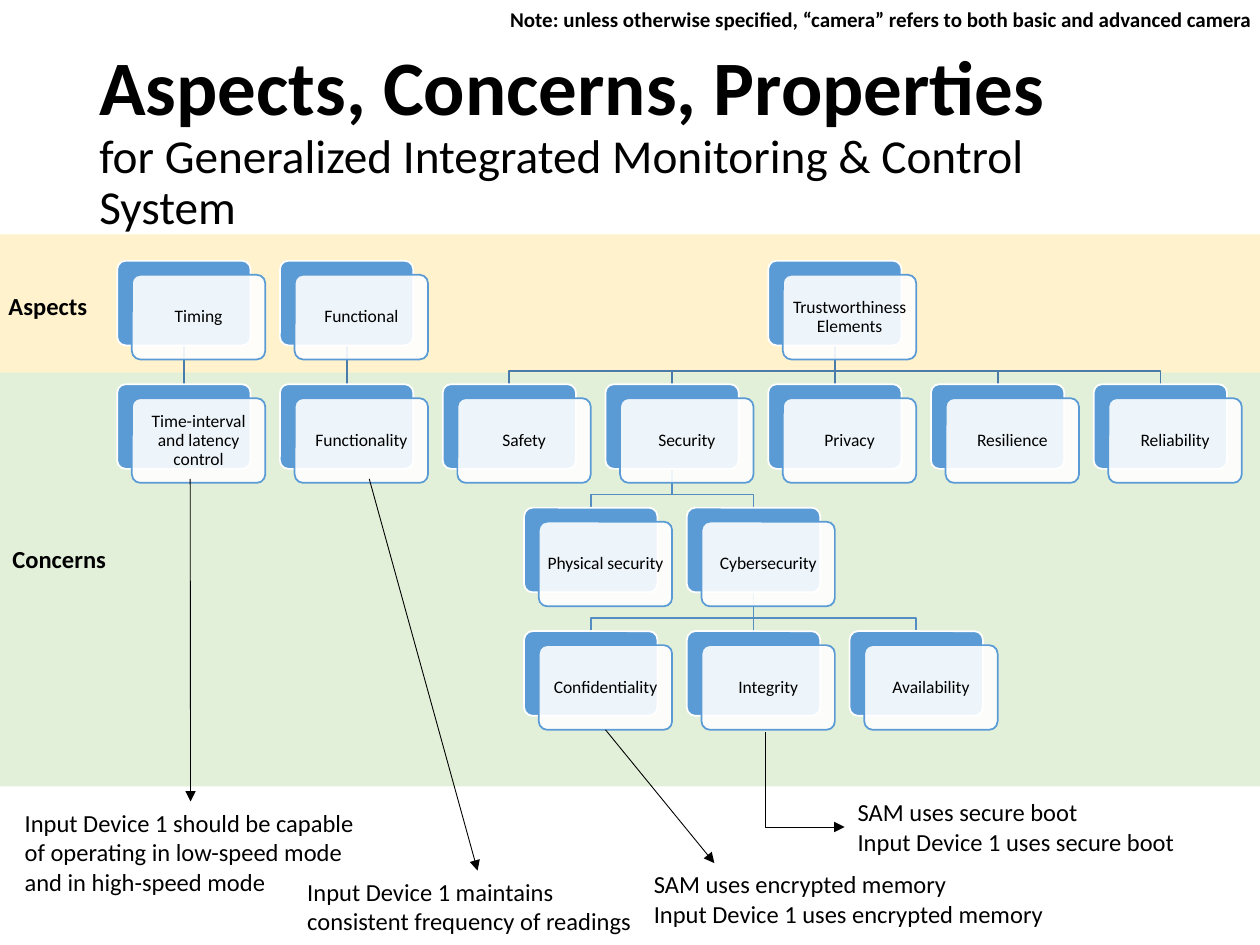
"""Build a slide that maps aspects to concerns and properties of a control system."""
import pptx
import pptx.util
import pptx.dml.color
import pptx.enum.shapes
import pptx.enum.text
import pptx.oxml
import pptx.oxml.ns

Pt = pptx.util.Pt
RGBColor = pptx.dml.color.RGBColor
SHAPE = pptx.enum.shapes.MSO_SHAPE
CONNECTOR = pptx.enum.shapes.MSO_CONNECTOR
ALIGN = pptx.enum.text.PP_ALIGN
ANCHOR = pptx.enum.text.MSO_ANCHOR
AUTO_SIZE = pptx.enum.text.MSO_AUTO_SIZE
qn = pptx.oxml.ns.qn

BLACK = RGBColor(0x00, 0x00, 0x00)
WHITE = RGBColor(0xFF, 0xFF, 0xFF)
BLUE = RGBColor(0x5B, 0x9B, 0xD5)
UPPER_LINK = RGBColor(0x49, 0x7C, 0xAB)
LOWER_LINK = RGBColor(0x53, 0x8D, 0xC1)
ASPECT_BAND = RGBColor(0xFF, 0xF2, 0xCC)
CONCERN_BAND = RGBColor(0xE2, 0xF0, 0xD9)

LEFT, TOP = 67, 149
COLUMN_STEP, ROW_STEP = 93, 70.55
BOX_WIDTH, BOX_HEIGHT = 76.2, 48.4
SHIFT_X, SHIFT_Y = 8.4, 8
LINK_DROP = 7.5


def write(frame, text, size=14, bold=False, align=ALIGN.LEFT, spacing=None):
    for index, line in enumerate(text.split("\n")):
        para = frame.add_paragraph() if index else frame.paragraphs[0]
        para.alignment = align
        para.line_spacing = spacing
        span = para.add_run()
        span.text = line
        span.font.name = "Calibri"
        span.font.size = Pt(size)
        span.font.bold = bold
        span.font.color.rgb = BLACK
    return para


def add_line(kind, start, end, color, width, arrow=False):
    line = page.shapes.add_connector(kind, *map(Pt, start + end))
    line.line.color.rgb = color
    line.line.width = Pt(width)
    properties = line._element.spPr
    properties.append(pptx.oxml.parse_xml(f"<a:effectLst {pptx.oxml.ns.nsdecls('a')}/>"))
    if arrow:
        properties.find(qn("a:ln")).append(
            pptx.oxml.parse_xml(f"<a:tailEnd {pptx.oxml.ns.nsdecls('a')} type='triangle'/>"))
    return line


deck = pptx.Presentation()
deck.slide_width, deck.slide_height = Pt(720), Pt(540)
page = deck.slides.add_slide(deck.slide_layouts[6])

for top, height, color in [(212.4, 237, CONCERN_BAND), (134, 79, ASPECT_BAND)]:
    band = page.shapes.add_shape(SHAPE.RECTANGLE, 0, Pt(top), Pt(720), Pt(height))
    band.shadow.inherit = False
    band.fill.solid()
    band.fill.fore_color.rgb = color
    band.line.fill.background()

nodes = {
    "Timing": (0, 0, None),
    "Time-interval and latency control": (0, 1, "Timing"),
    "Functional": (1, 0, None),
    "Functionality": (1, 1, "Functional"),
    "Trustworthiness Elements": (4, 0, None),
    "Safety": (2, 1, "Trustworthiness Elements"),
    "Security": (3, 1, "Trustworthiness Elements"),
    "Physical security": (2.5, 2, "Security"),
    "Cybersecurity": (3.5, 2, "Security"),
    "Confidentiality": (2.5, 3, "Cybersecurity"),
    "Integrity": (3.5, 3, "Cybersecurity"),
    "Availability": (4.5, 3, "Cybersecurity"),
    "Privacy": (4, 1, "Trustworthiness Elements"),
    "Resilience": (5, 1, "Trustworthiness Elements"),
    "Reliability": (6, 1, "Trustworthiness Elements"),
}

straight_links = []
for name, (column, row, parent) in nodes.items():
    if parent is None:
        continue
    parent_column, parent_row, _ = nodes[parent]
    start_x = LEFT + parent_column * COLUMN_STEP + BOX_WIDTH / 2
    start_y = TOP + parent_row * ROW_STEP + BOX_HEIGHT
    end_x = LEFT + column * COLUMN_STEP + BOX_WIDTH / 2
    end_y = TOP + row * ROW_STEP
    color = LOWER_LINK if parent_row else UPPER_LINK
    if column == parent_column:
        link = add_line(CONNECTOR.STRAIGHT, (start_x, start_y), (end_x, end_y), color, 1)
        straight_links.append((link, parent, name))
        continue
    bend_y = end_y - LINK_DROP
    outline = page.shapes.build_freeform(Pt(start_x), Pt(start_y))
    outline.add_line_segments(
        [(Pt(x), Pt(y)) for x, y in [(start_x, bend_y), (end_x, bend_y), (end_x, end_y)]],
        close=False)
    link = outline.convert_to_shape()
    link.shadow.inherit = False
    link.fill.background()
    link.line.color.rgb = color
    link.line.width = Pt(1)

backs, fronts = {}, {}
for name, (column, row, _) in nodes.items():
    left, top = LEFT + column * COLUMN_STEP, TOP + row * ROW_STEP
    for layer, shift_x, shift_y, fill, border in [
            (backs, 0, 0, BLUE, WHITE), (fronts, SHIFT_X, SHIFT_Y, WHITE, BLUE)]:
        box = page.shapes.add_shape(SHAPE.ROUNDED_RECTANGLE, Pt(left + shift_x),
                                    Pt(top + shift_y), Pt(BOX_WIDTH), Pt(BOX_HEIGHT))
        box.adjustments[0] = 0.1
        box.shadow.inherit = False
        box.fill.solid()
        box.fill.fore_color.rgb = fill
        box.line.color.rgb = border
        box.line.width = Pt(1)
        layer[name] = box
    tint = box._element.spPr.find(qn("a:solidFill"))[0]
    tint.append(pptx.oxml.parse_xml(f"<a:alpha {pptx.oxml.ns.nsdecls('a')} val='90000'/>"))
    frame = box.text_frame
    frame.word_wrap = True
    frame.vertical_anchor = ANCHOR.MIDDLE
    frame.margin_left = frame.margin_right = Pt(2.5)
    frame.margin_top = frame.margin_bottom = Pt(3)
    write(frame, name, size=10, align=ALIGN.CENTER, spacing=0.9)

for link, parent, name in straight_links:
    link.begin_connect(backs[parent], 2)
    link.end_connect(backs[name], 0)

title = page.shapes.add_textbox(Pt(49.7), Pt(28.8), Pt(620.6), Pt(104.4))
title.text_frame.word_wrap = True
title.text_frame.vertical_anchor = ANCHOR.MIDDLE
para = write(title.text_frame, "Aspects, Concerns, Properties", size=44, bold=True, spacing=0.9)
para.add_line_break()
span = para.add_run()
span.text = "for Generalized Integrated Monitoring & Control System"
span.font.name = "Calibri"
span.font.size = Pt(27)
span.font.color.rgb = BLACK

captions = {}
for key, left, top, width, height, text, size, bold, wrap in [
        ("aspects", -2.2, 162.7, 59.8, 24.2, "Aspects", 14, True, False),
        ("concerns", 0, 307.4, 68.4, 24.2, "Concerns", 14, True, False),
        ("readings", 168.5, 497.5, 208.8, 41.2,
         "Input Device 1 maintains consistent frequency of readings", 14, False, True),
        ("boot", 483, 452, 247, 41.2,
         "SAM uses secure boot\nInput Device 1 uses secure boot", 14, False, True),
        ("speed", 7, 458, 203.8, 58.2,
         "Input Device 1 should be capable of operating in low-speed mode and in high-speed mode",
         14, False, True),
        ("memory", 366.5, 493.2, 245.5, 41.2,
         "SAM uses encrypted memory\nInput Device 1 uses encrypted memory", 14, False, True),
        ("note", 284.4, 0, 440.6, 21.8,
         "Note: unless otherwise specified, “camera” refers to both basic and advanced camera",
         12, True, True)]:
    caption = page.shapes.add_textbox(Pt(left), Pt(top), Pt(width), Pt(height))
    caption.text_frame.word_wrap = wrap
    caption.text_frame.auto_size = AUTO_SIZE.SHAPE_TO_FIT_TEXT
    write(caption.text_frame, text, size=size, bold=bold)
    captions[key] = caption

for start, end, source, target in [
        ((211, 273.6), (272.9, 497.5), None, "readings"),
        ((108.7, 273.6), (108.9, 458), None, "speed"),
        ((346.3, 418.3), (408.2, 493.2), "Confidentiality", None)]:
    arrow = add_line(CONNECTOR.STRAIGHT, start, end, BLACK, 0.5, arrow=True)
    if source:
        arrow.begin_connect(fronts[source], 2)
    if target:
        arrow.end_connect(captions[target], 0)

elbow = add_line(CONNECTOR.ELBOW, (487.2, 422.8), (432.8, 468), BLACK, 0.5, arrow=True)
elbow._element.spPr.find(qn("a:prstGeom")).set("prst", "bentConnector2")
elbow._element.spPr.find(qn("a:xfrm")).set("rot", "16200000")

deck.save("out.pptx")
